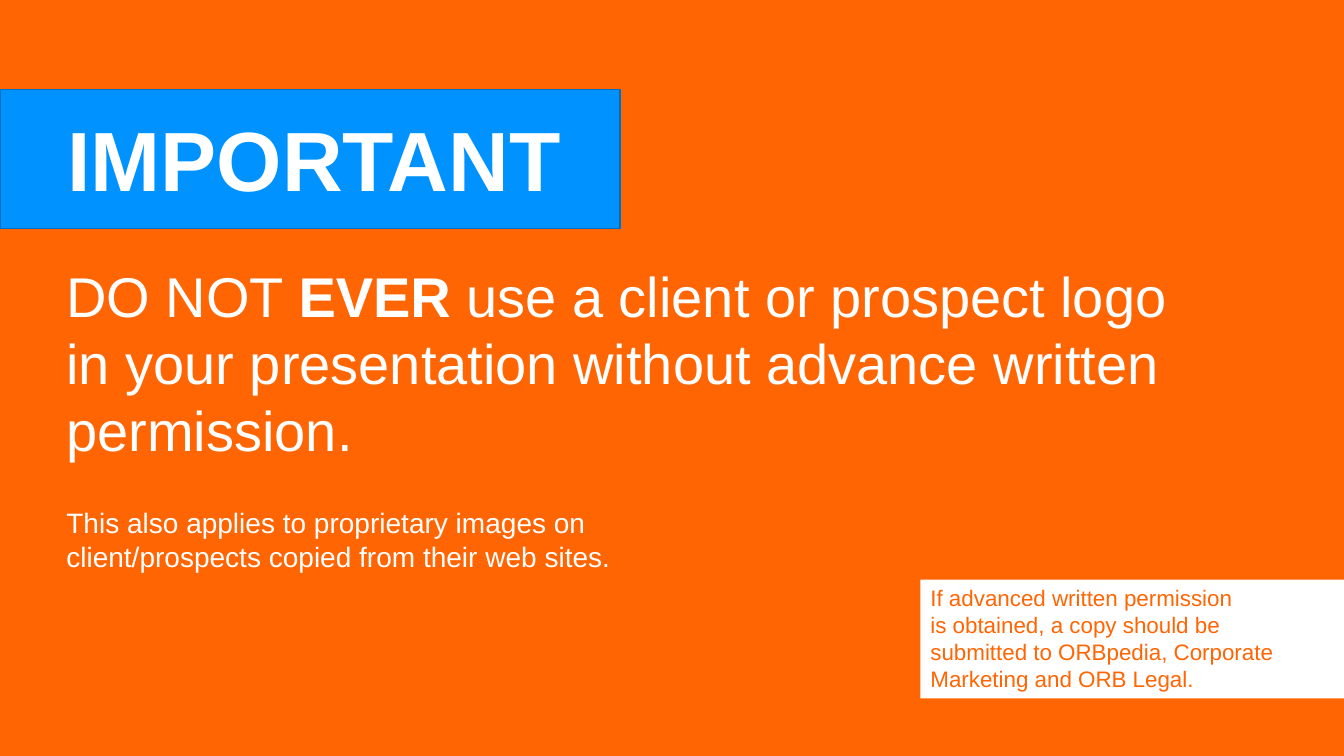
import dataclasses

import pptx
import pptx.dml.color
import pptx.enum.shapes
import pptx.enum.text
import pptx.util

Inches = pptx.util.Inches
Pt = pptx.util.Pt
RGB = pptx.dml.color.RGBColor.from_string
ANCHOR = pptx.enum.text.MSO_ANCHOR


@dataclasses.dataclass(frozen=True)
class Theme:
    font: str = "Arial"
    orange: str = "FF6503"
    blue: str = "0093FF"
    dark_blue: str = "006DBD"
    white: str = "FFFFFF"
    title: int = 60
    statement: int = 40
    detail: int = 20
    note: int = 16


class SlideBuilder:
    def __init__(self, prs, theme):
        self.theme = theme
        self.s = prs.slides.add_slide(prs.slide_layouts[6])

    def background(self, color):
        fill = self.s.background.fill
        fill.solid()
        fill.fore_color.rgb = RGB(color)

    def panel(self, box, fill, line=None):
        sp = self.s.shapes.add_shape(
            pptx.enum.shapes.MSO_SHAPE.RECTANGLE, *map(Inches, box))
        sp.shadow.inherit = False
        sp.fill.solid()
        sp.fill.fore_color.rgb = RGB(fill)
        if line:
            sp.line.color.rgb = RGB(line)
            sp.line.width = Pt(1)
        else:
            sp.line.fill.background()
        return sp

    def text_box(self, box, pieces, size, color):
        sp = self.s.shapes.add_textbox(*map(Inches, box))
        self.set_text(sp, pieces, size, color)
        return sp

    def set_text(self, sp, pieces, size, color):
        """Fill sp with one paragraph of (text, bold) pieces; newlines become line breaks."""
        tf = sp.text_frame
        tf.word_wrap = True
        tf.vertical_anchor = ANCHOR.TOP
        p = tf.paragraphs[0]
        p.alignment = pptx.enum.text.PP_ALIGN.LEFT
        for text, bold in pieces:
            for i, line in enumerate(text.split("\n")):
                if i:
                    p.add_line_break()
                r = p.add_run()
                r.text = line
                r.font.name = self.theme.font
                r.font.size = Pt(size)
                r.font.bold = bold
                r.font.color.rgb = RGB(color)

    def title(self, box, text):
        sp = self.text_box(box, [(text, True)], self.theme.title, self.theme.white)
        tf = sp.text_frame
        tf.margin_left = tf.margin_right = tf.margin_top = tf.margin_bottom = 0
        tf.vertical_anchor = ANCHOR.MIDDLE
        tf.paragraphs[0].line_spacing = 0.9


def main():
    prs = pptx.Presentation()
    prs.slide_width = Inches(13.33)
    prs.slide_height = Inches(7.5)
    theme = Theme()
    slide = SlideBuilder(prs, theme)

    slide.background(theme.orange)
    slide.panel((0, 0.89, 6.15, 1.38), theme.blue, theme.dark_blue)
    slide.title((0.67, 0.98, 5.3, 1.29), "IMPORTANT")
    slide.text_box(
        (0.56, 2.54, 11.78, 2.12),
        [("DO NOT ", False),
         ("EVER", True),
         (" use a client or prospect logo\n"
          "in your presentation without advance written permission.", False)],
        theme.statement, theme.white)
    slide.text_box(
        (0.56, 4.97, 8.3, 0.77),
        [("This also applies to proprietary images on\n"
          "client/prospects copied from their web sites.", False)],
        theme.detail, theme.white)
    note = slide.panel((9.13, 5.75, 4.2, 1.18), theme.white)
    slide.set_text(
        note,
        [("If advanced written permission\n"
          "is obtained, a copy should be\n"
          "submitted to ORBpedia, Corporate\n"
          "Marketing and ORB Legal.", False)],
        theme.note, theme.orange)

    prs.save("out.pptx")


if __name__ == "__main__":
    main()
